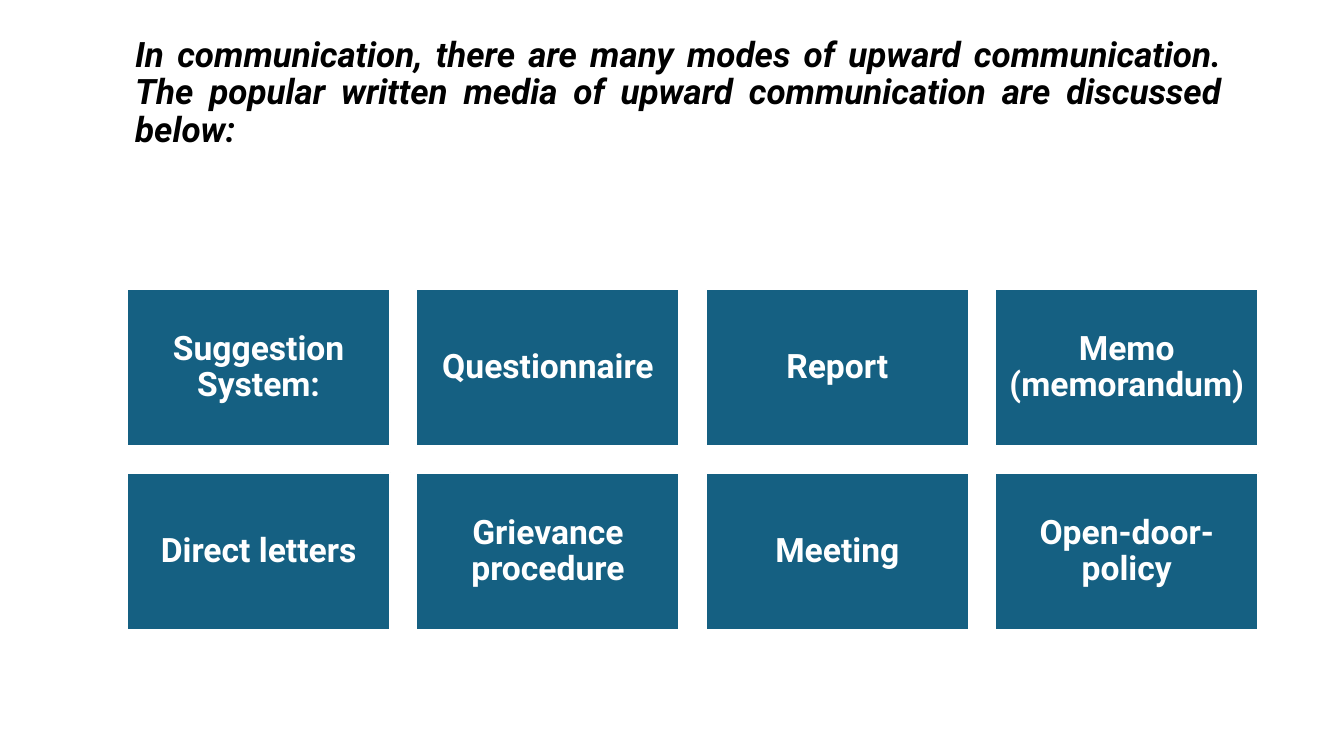
from pptx import Presentation
from pptx.dml.color import RGBColor
from pptx.enum.shapes import MSO_SHAPE
from pptx.enum.text import MSO_ANCHOR, MSO_AUTO_SIZE, PP_ALIGN
from pptx.util import Inches, Pt

RECTANGLE = MSO_SHAPE.RECTANGLE
MIDDLE, BOTTOM = MSO_ANCHOR.MIDDLE, MSO_ANCHOR.BOTTOM
CENTER, JUSTIFY = PP_ALIGN.CENTER, PP_ALIGN.JUSTIFY
NO_AUTOFIT = MSO_AUTO_SIZE.NONE

TITLE = (
    "In communication, there are many modes of upward communication. "
    "The popular written media of upward communication are discussed below:"
)
MEDIA = [
    ["Suggestion System:", "Questionnaire", "Report", "Memo (memorandum)"],
    ["Direct letters", "Grievance procedure", "Meeting", "Open-door-policy"],
]
FONT = "Roboto"
BLACK, WHITE, BLUE = "000000", "FFFFFF", "156082"
GRID_LEFT, GRID_TOP = 1.26, 2.87
BOX_WIDTH, BOX_HEIGHT = 2.61, 1.56
COLUMN_GAP = ROW_GAP = 0.26


def color(hex_string):
    return RGBColor.from_string(hex_string)


def write_text(shape, text, size, text_color, alignment, anchor, italic=False):
    frame = shape.text_frame
    frame.text = text
    frame.word_wrap = True
    frame.auto_size = NO_AUTOFIT
    frame.vertical_anchor = anchor
    paragraph = frame.paragraphs[0]
    paragraph.alignment = alignment
    paragraph.line_spacing = 0.9
    font = paragraph.runs[0].font
    font.name = FONT
    font.size = Pt(size)
    font.bold = True
    font.italic = italic
    font.color.rgb = color(text_color)


def add_medium(slide, text, left, top):
    box = slide.shapes.add_shape(
        RECTANGLE, Inches(left), Inches(top), Inches(BOX_WIDTH), Inches(BOX_HEIGHT)
    )
    box.shadow.inherit = False
    box.fill.solid()
    box.fill.fore_color.rgb = color(BLUE)
    box.line.color.rgb = color(WHITE)
    box.line.width = Pt(1.5)
    frame = box.text_frame
    frame.margin_left = frame.margin_right = Inches(0.1)
    frame.margin_top = frame.margin_bottom = Inches(0.1)
    write_text(box, text, 24, WHITE, CENTER, MIDDLE)


def main():
    presentation = Presentation()
    presentation.slide_width = Inches(13.33)
    presentation.slide_height = Inches(7.5)
    slide = presentation.slides.add_slide(presentation.slide_layouts[5])

    title = slide.shapes.title
    title.left, title.top = Inches(1.24), Inches(0.55)
    title.width, title.height = Inches(10.97), Inches(0.99)
    write_text(title, TITLE, 25, BLACK, JUSTIFY, BOTTOM, italic=True)

    for row, names in enumerate(MEDIA):
        top = GRID_TOP + row * (BOX_HEIGHT + ROW_GAP)
        for column, name in enumerate(names):
            left = GRID_LEFT + column * (BOX_WIDTH + COLUMN_GAP)
            add_medium(slide, name, left, top)

    presentation.save("out.pptx")


if __name__ == "__main__":
    main()
